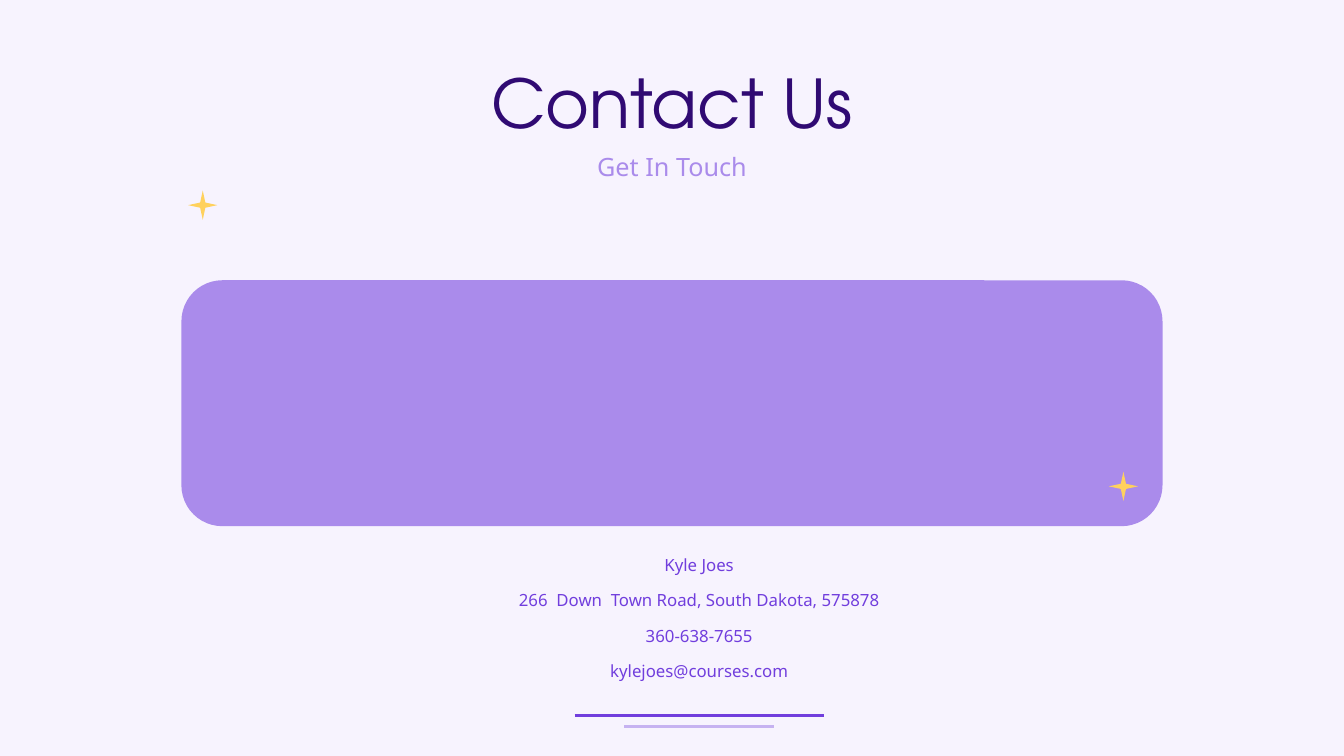
import pptx
import pptx.dml.color
import pptx.enum.shapes
import pptx.enum.text
import pptx.oxml
import pptx.util
from dataclasses import dataclass

SHAPE = pptx.enum.shapes.MSO_SHAPE
WIDE, HIGH = pptx.util.Inches(13.33), pptx.util.Inches(7.5)


@dataclass(frozen=True)
class Theme:
    back: str = "F7F3FE"
    dark: str = "300A73"
    deep: str = "713EDD"
    soft: str = "AA8BEB"
    pale: str = "C6B2F1"
    gold: str = "FFD15D"
    head: str = "TeX Gyre Adventor"
    body: str = "Noto Sans"
    big: int = 48
    mid: int = 18
    small: int = 12
    rule: int = 2
    inset: float = 0.13


THEME = Theme()


def color(code):
    return pptx.dml.color.RGBColor.from_string(code)


def share(left, top, width, height):
    """Turn percentages of the slide's size into lengths."""
    return [round(part * side / 100) for part, side in
            zip((left, top, width, height), (WIDE, HIGH, WIDE, HIGH))]


def apply(item, values):
    for name, value in values.items():
        setattr(item, name, value)


def paint(fill, code):
    fill.solid()
    fill.fore_color.rgb = color(code)


def add_shape(slide, kind, area, code):
    shape = slide.shapes.add_shape(kind, *share(*area))
    shape.shadow.inherit = False
    shape.line.fill.background()
    paint(shape.fill, code)


def add_text(slide, area, lines, face, size, code, space=1.0):
    frame = slide.shapes.add_textbox(*share(*area)).text_frame
    inset = pptx.util.Inches(THEME.inset)
    sides = ("left", "top", "right", "bottom")
    apply(frame, {f"margin_{side}": inset for side in sides})
    apply(frame, {"word_wrap": True,
                  "vertical_anchor": pptx.enum.text.MSO_ANCHOR.TOP})
    frame.text = "\n".join(lines)
    for para in frame.paragraphs:
        apply(para, {"alignment": pptx.enum.text.PP_ALIGN.CENTER,
                     "line_spacing": space})
        for run in para.runs:
            apply(run.font, {"name": face, "size": pptx.util.Pt(size)})
            run.font.color.rgb = color(code)


def add_rule(slide, middle, top, width, code):
    """Draw a level line centred on middle."""
    left, level, span, _ = share(middle - width / 2, top, width, 0)
    rule = slide.shapes.add_connector(
        pptx.enum.shapes.MSO_CONNECTOR.STRAIGHT,
        left, level, left + span, level)
    rule.line.color.rgb = color(code)
    rule.line.width = pptx.util.Pt(THEME.rule)
    props = rule._element.spPr
    props.append(pptx.oxml.parse_xml(
        '<a:effectLst xmlns:a='
        '"http://schemas.openxmlformats.org/drawingml/2006/main"/>'))


def main():
    deck = pptx.Presentation()
    apply(deck, {"slide_width": WIDE, "slide_height": HIGH})
    slide = deck.slides.add_slide(deck.slide_layouts[6])
    paint(slide.background.fill, THEME.back)

    add_shape(slide, SHAPE.ROUNDED_RECTANGLE,
              (13.5, 37.07, 73, 32.53), THEME.soft)
    add_text(slide, (34.2, 6.4, 31.6, 11.6), ["Contact Us"],
             THEME.head, THEME.big, THEME.dark)
    add_text(slide, (41.45, 18.27, 17.1, 7.73), ["Get In Touch"],
             THEME.body, THEME.mid, THEME.soft)
    for left, top in ((14, 25.2), (82.5, 62.4)):
        add_shape(slide, SHAPE.STAR_4_POINT, (left, top, 2.18, 3.87),
                  THEME.gold)

    person = "\v".join(["Kyle Joes",
                        "266  Down  Town Road, South Dakota, 575878",
                        "360-638-7655"])
    add_text(slide, (36.38, 69.6, 31.28, 29.33),
             [person, "kylejoes@courses.com"],
             THEME.body, THEME.small, THEME.deep, 1.76)
    for top, width, code in ((94.67, 18.53, THEME.deep),
                             (96.13, 11.18, THEME.pale)):
        add_rule(slide, 52.02, top, width, code)
    deck.save("out.pptx")


if __name__ == "__main__":
    main()
